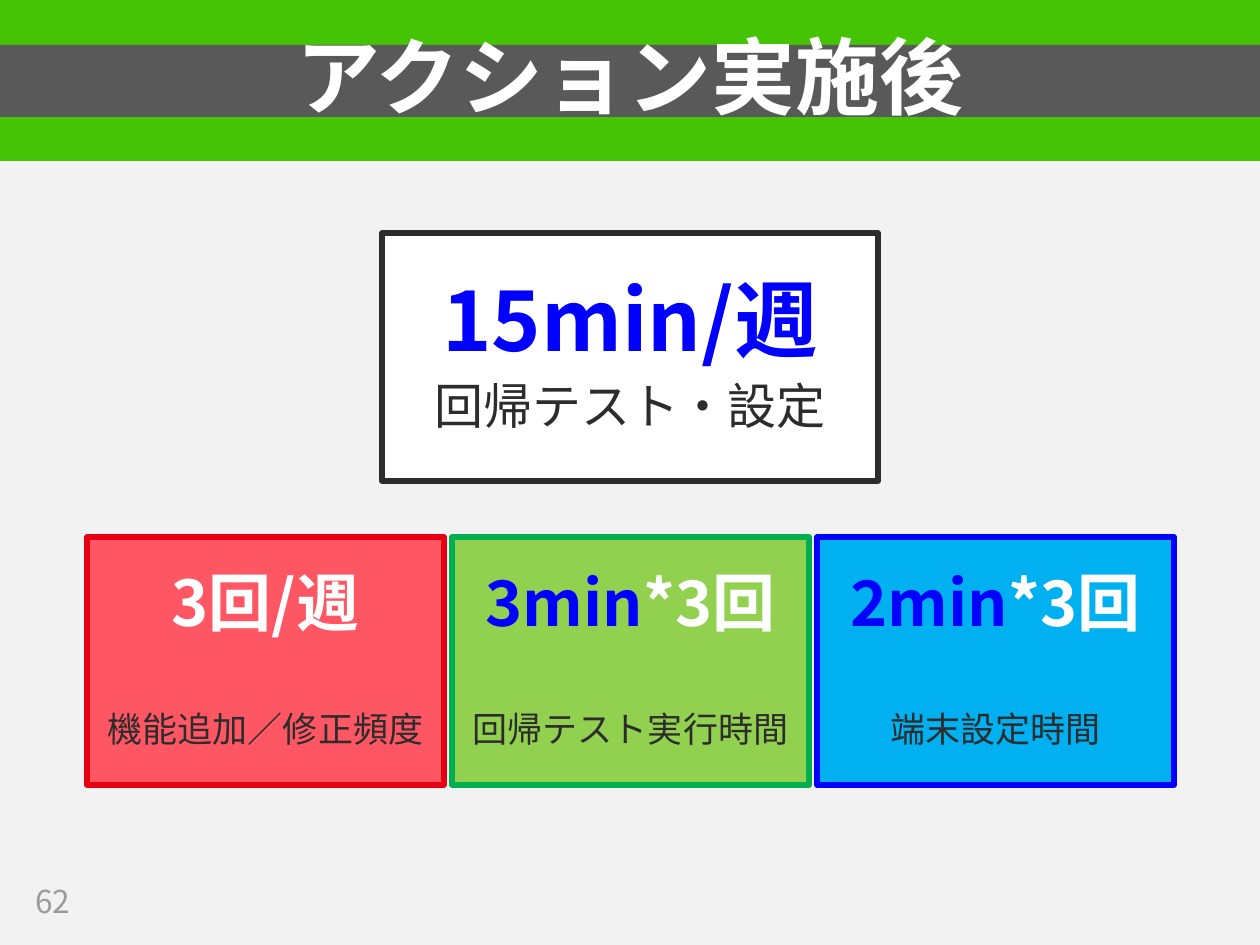
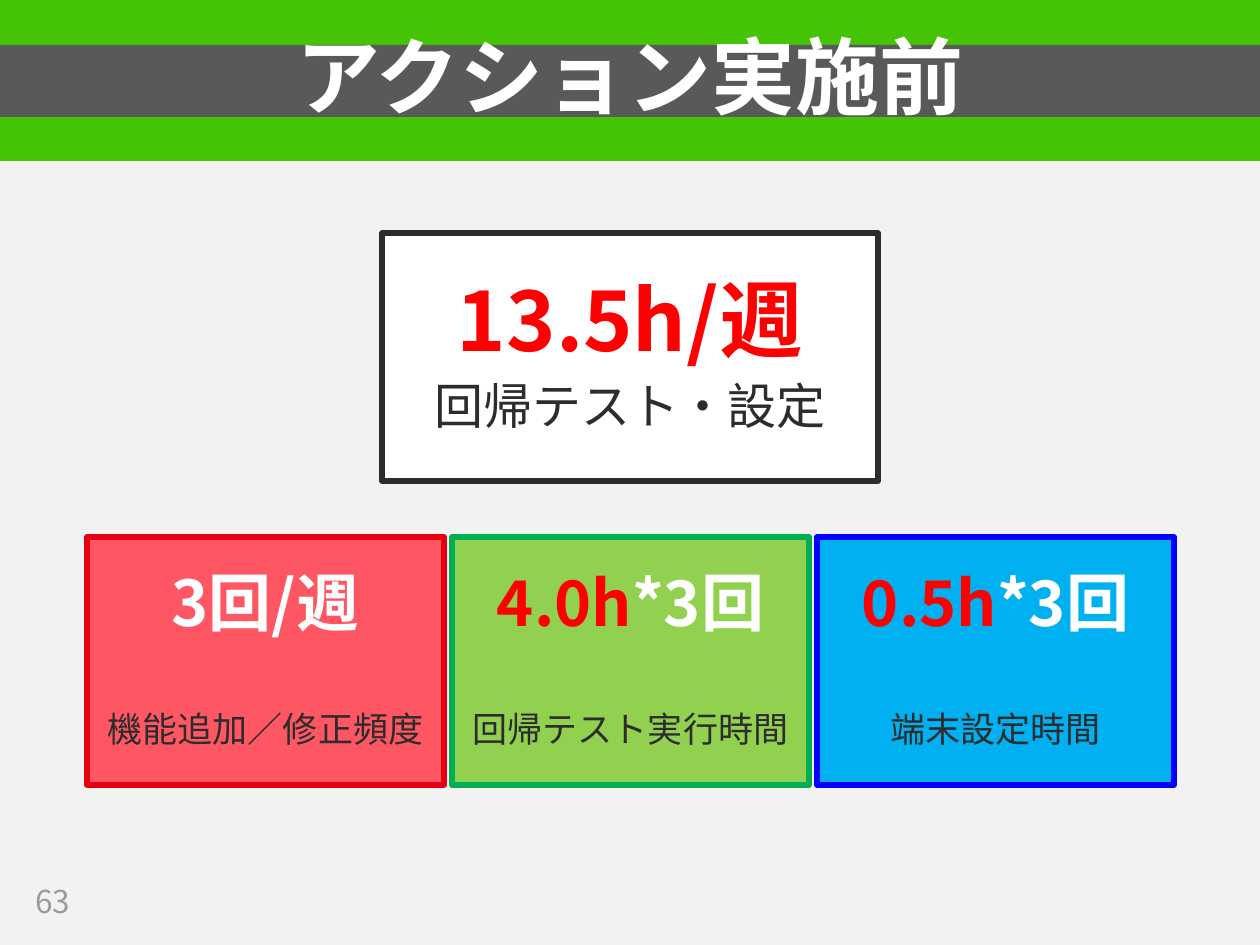
"""Build two slides comparing weekly test effort after and before the action."""
import pptx
import pptx.dml.color
import pptx.enum.shapes
import pptx.enum.text
import pptx.oxml
import pptx.oxml.ns
import pptx.util

RGB = pptx.dml.color.RGBColor
MIDDLE = pptx.enum.text.MSO_ANCHOR.MIDDLE
CENTER = pptx.enum.text.PP_ALIGN.CENTER
LEFT = pptx.enum.text.PP_ALIGN.LEFT
NO_FIT = pptx.enum.text.MSO_AUTO_SIZE.NONE
RECTANGLE = pptx.enum.shapes.MSO_SHAPE.RECTANGLE

FONT = "Noto Sans CJK JP"
PX_PER_INCH = 126
SLIDE_W, SLIDE_H = 1260, 945

PAPER = RGB(0xF2, 0xF2, 0xF2)
BAND_GREEN = RGB(0x44, 0xC4, 0x04)
TITLE_GRAY = RGB(0x59, 0x59, 0x59)
PAGE_GRAY = RGB(0x9B, 0x9B, 0x9B)
INK = RGB(0x2C, 0x2C, 0x2C)
WHITE = RGB(0xFF, 0xFF, 0xFF)
RED = RGB(0xFF, 0x00, 0x00)
BLUE = RGB(0x00, 0x00, 0xFF)
PINK = RGB(0xFF, 0x56, 0x64)
CRIMSON = RGB(0xE5, 0x00, 0x12)
LIME = RGB(0x92, 0xD0, 0x50)
LEAF = RGB(0x00, 0xB0, 0x50)
SKY = RGB(0x00, 0xB0, 0xF0)

BAND_BOX = (0, -1, SLIDE_W, 161)
TITLE_BOX = (0, 45, SLIDE_W, 72)
PAGE_BOX = (23, 876, 100, 49)
TOTAL_BOX = (382, 233, 496, 248)
FACTORS_BOX = (87, 537, 1087, 248)
FACTOR_GAP = 8

FACTOR_STYLES = [
    ("機能追加／修正頻度", PINK, CRIMSON),
    ("回帰テスト実行時間", LIME, LEAF),
    ("端末設定時間", SKY, BLUE),
]
SLIDES = [
    ("アクション実施後", "62", BLUE, "15min/週", ("3min", "2min")),
    ("アクション実施前", "63", RED, "13.5h/週", ("4.0h", "0.5h")),
]


def px(n):
    """Turn pixels into EMU."""
    return pptx.util.Emu(round(n * 914400 / PX_PER_INCH))


def assign(obj, **values):
    """Set each named attribute on an object."""
    for name, value in values.items():
        setattr(obj, name, value)


def write(p, runs, size, bold=False, align=CENTER, spacing=0.9, before=0):
    """Fill a paragraph with (text, colour) runs of one size and weight."""
    assign(p, alignment=align, line_spacing=spacing, space_before=pptx.util.Pt(before))
    for text, color in runs:
        r = p.add_run()
        r.text = text
        assign(r.font, size=pptx.util.Pt(size), bold=bold, name=FONT)
        r.font.color.rgb = color
        ea = pptx.oxml.parse_xml(f'<a:ea {pptx.oxml.ns.nsdecls("a")} typeface="{FONT}"/>')
        r.font._element.append(ea)


def add_box(s, box, fill, line, weight):
    """Add a filled and outlined rectangle without a shadow."""
    sp = s.shapes.add_shape(RECTANGLE, *map(px, box))
    sp.shadow.inherit = False
    sp.fill.solid()
    sp.fill.fore_color.rgb = fill
    sp.line.color.rgb = line
    sp.line.width = pptx.util.Pt(weight)
    return sp


def add_card(s, box, fill, line, runs, size, label, label_size, gap):
    """Add a card with a bold figure above its label."""
    tf = add_box(s, box, fill, line, 3).text_frame
    assign(tf, word_wrap=True, vertical_anchor=MIDDLE)
    write(tf.paragraphs[0], runs, size, bold=True)
    write(tf.add_paragraph(), [(label, INK)], label_size, before=gap)


def add_factors(s, box, figures):
    """Place one factor card per figure in equal columns of the box."""
    x, y, w, h = box
    card_w = (w - FACTOR_GAP * (len(figures) - 1)) / len(figures)
    for i, (runs, (label, fill, line)) in enumerate(zip(figures, FACTOR_STYLES)):
        card = (x + i * (card_w + FACTOR_GAP), y, card_w, h)
        add_card(s, card, fill, line, runs, 36, label, 20, 41)


def add_title(s, box, text):
    """Format the title placeholder as a gray strip."""
    sp = s.shapes.title
    assign(sp, **dict(zip(("left", "top", "width", "height"), map(px, box))))
    sp.fill.solid()
    sp.fill.fore_color.rgb = TITLE_GRAY
    tf = sp.text_frame
    assign(tf, word_wrap=True, auto_size=NO_FIT, vertical_anchor=MIDDLE)
    write(tf.paragraphs[0], [(text, WHITE)], 48, bold=True)


def add_page_number(s, box, number):
    """Write the page number at the lower left."""
    tf = s.shapes.add_textbox(*map(px, box)).text_frame
    assign(tf, word_wrap=True, vertical_anchor=MIDDLE)
    write(tf.paragraphs[0], [(number, PAGE_GRAY)], 18, align=LEFT, spacing=1.0)


def add_effort_slide(prs, layout, title, number, accent, total, durations):
    """Add a slide with the weekly total and the factors behind it."""
    s = prs.slides.add_slide(layout)
    add_title(s, TITLE_BOX, title)
    add_page_number(s, PAGE_BOX, number)
    add_card(s, TOTAL_BOX, WHITE, INK, [(total, accent)], 48, "回帰テスト・設定", 28, 7.5)
    figures = [[("3回/週", WHITE)]]
    figures += [[(d, accent), ("*3回", WHITE)] for d in durations]
    add_factors(s, FACTORS_BOX, figures)
    return s


def main():
    """Build the deck and save it."""
    prs = pptx.Presentation()
    assign(prs, slide_width=px(SLIDE_W), slide_height=px(SLIDE_H))
    background = prs.slide_master.background.fill
    background.solid()
    background.fore_color.rgb = PAPER
    layout = prs.slide_layouts.get_by_name("Title Only")
    slides = [add_effort_slide(prs, layout, *content) for content in SLIDES]
    band = add_box(slides[0], BAND_BOX, BAND_GREEN, BAND_GREEN, 1)
    layout.shapes._spTree.insert(2, band._element)
    prs.save("out.pptx")


if __name__ == "__main__":
    main()
